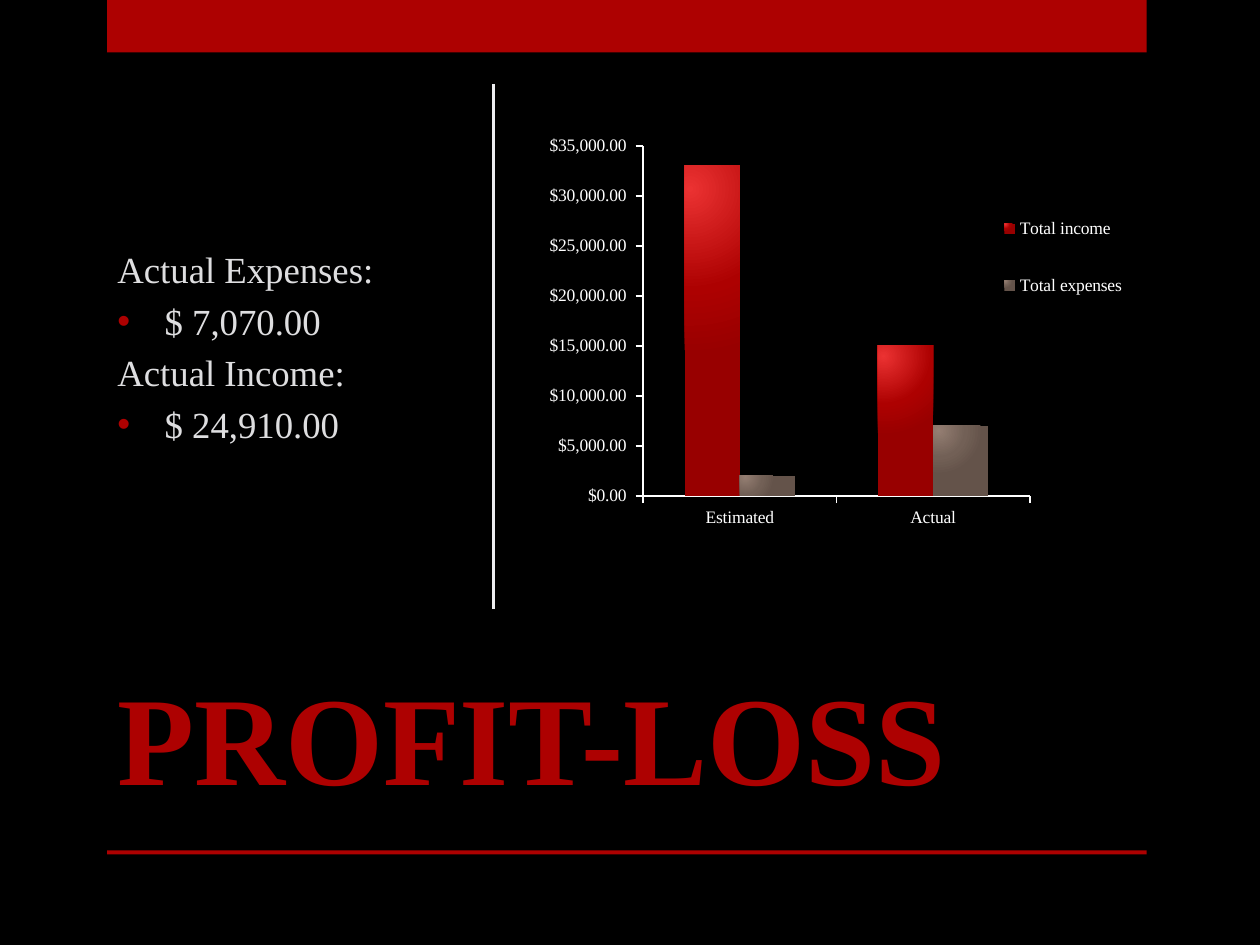
from lxml import etree
from pptx import Presentation
from pptx.chart.data import CategoryChartData
from pptx.dml.color import RGBColor
from pptx.enum import chart as charts, shapes, text
from pptx.oxml import parse_xml
from pptx.oxml.ns import nsdecls, qn
from pptx.util import Pt

BLACK = RGBColor(0x00, 0x00, 0x00)
WHITE = RGBColor(0xFF, 0xFF, 0xFF)
RED = RGBColor(0xAD, 0x01, 0x01)
PALE = RGBColor(0xDE, 0xDE, 0xE0)
DIVIDER = RGBColor(0xEE, 0xEE, 0xF0)
RED_LIGHT = RGBColor(0xEB, 0x32, 0x32)
RED_DARK = RGBColor(0x98, 0x00, 0x00)
TAUPE = RGBColor(0x72, 0x60, 0x56)
TAUPE_LIGHT = RGBColor(0x94, 0x7E, 0x72)
TAUPE_DARK = RGBColor(0x64, 0x53, 0x4A)
FONT = "Times New Roman"


def set_font(font, size, color, bold=False):
    font.name, font.size, font.bold = FONT, Pt(size), bold
    font.color.rgb = color


def add_bar(slide, left, top, width, height):
    bar = slide.shapes.add_shape(shapes.MSO_SHAPE.RECTANGLE,
                                 Pt(left), Pt(top), Pt(width), Pt(height))
    bar.shadow.inherit = False
    bar.fill.solid()
    bar.fill.fore_color.rgb = RED
    bar.line.fill.background()


def add_divider(slide, x, top, bottom):
    line = slide.shapes.add_connector(shapes.MSO_CONNECTOR.STRAIGHT,
                                      Pt(x), Pt(top), Pt(x), Pt(bottom))
    line.line.color.rgb = DIVIDER
    line.line.width = Pt(1.25)
    etree.SubElement(line._element.spPr, qn("a:effectLst"))


def add_text_frame(slide, left, top, width, height):
    frame = slide.shapes.add_textbox(Pt(left), Pt(top), Pt(width), Pt(height)).text_frame
    frame.word_wrap = True
    return frame


def add_bullet(paragraph, indent):
    properties = paragraph._p.get_or_add_pPr()
    properties.set("marL", str(Pt(indent)))
    properties.set("indent", str(-Pt(indent)))
    color = etree.SubElement(properties, qn("a:buClr"))
    etree.SubElement(color, qn("a:srgbClr"), val=str(RED))
    etree.SubElement(properties, qn("a:buFont"), typeface="Arial")
    etree.SubElement(properties, qn("a:buChar"), char="•")


def add_totals(slide, left, top, width, height, totals):
    """Lists each label with its amount as a bullet below it."""
    frame = add_text_frame(slide, left, top, width, height)
    frame.vertical_anchor = text.MSO_ANCHOR.MIDDLE
    lines = [line for total in totals for line in total]
    frame.text = "\n".join(lines)
    for index, paragraph in enumerate(frame.paragraphs):
        paragraph.space_before = Pt(4.2)
        if index % 2:
            add_bullet(paragraph, 27)
        set_font(paragraph.font, 21, PALE)


def add_title(slide, left, top, width, height, title):
    frame = add_text_frame(slide, left, top, width, height)
    frame.text = title
    set_font(frame.paragraphs[0].font, 72, RED, bold=True)


def fill_radial(series, colors):
    """Fills the columns with a glow from their upper left corner."""
    stops = "".join(f'<a:gs pos="{position}"><a:srgbClr val="{color}"/></a:gs>'
                    for position, color in zip((0, 60000, 100000), colors))
    gradient = parse_xml(
        f'<a:gradFill {nsdecls("a")} rotWithShape="1"><a:gsLst>{stops}</a:gsLst>'
        '<a:path path="circle"><a:fillToRect l="10000" t="7000" r="90000" b="93000"/>'
        '</a:path></a:gradFill>')
    series.format.line.fill.background()
    series._element.spPr.insert(0, gradient)


def set_layout(parent, chart_size, left, top, width, height, inner=False):
    """Places a plot area or legend by lengths inside the chart."""
    for old in parent.findall(qn("c:layout")):
        parent.remove(old)
    chart_width, chart_height = chart_size
    target = '<c:layoutTarget val="inner"/>' if inner else ""
    layout = parse_xml(
        f'<c:layout {nsdecls("c")}><c:manualLayout>{target}'
        '<c:xMode val="edge"/><c:yMode val="edge"/>'
        f'<c:x val="{left / chart_width}"/><c:y val="{top / chart_height}"/>'
        f'<c:w val="{width / chart_width}"/><c:h val="{height / chart_height}"/>'
        '</c:manualLayout></c:layout>')
    position = parent.find(qn("c:legendPos"))
    if position is None:
        parent.insert(0, layout)
    else:
        position.addnext(layout)


def style_axis(axis):
    axis.has_major_gridlines = False
    axis.major_tick_mark = charts.XL_TICK_MARK.OUTSIDE
    axis.minor_tick_mark = charts.XL_TICK_MARK.NONE
    axis.format.line.color.rgb = WHITE
    axis.format.line.width = Pt(1)
    set_font(axis.tick_labels.font, 10, WHITE)


def add_profit_chart(slide, left, top, width, height):
    data = CategoryChartData()
    data.categories = ["Estimated", "Actual"]
    data.add_series("Total income", (33000, 15000))
    data.add_series("Total expenses", (2000, 7000))
    chart = slide.shapes.add_chart(charts.XL_CHART_TYPE.COLUMN_CLUSTERED, Pt(left), Pt(top),
                                   Pt(width), Pt(height), data).chart
    set_font(chart.font, 10, WHITE)
    chart.has_title = False
    chart.has_legend = True
    chart.legend.position = charts.XL_LEGEND_POSITION.RIGHT
    chart.legend.include_in_layout = False
    set_font(chart.legend.font, 10, WHITE)
    set_layout(chart.legend._element, (width, height), 274, 56, 79, 86)

    plot = chart.plots[0]
    plot.gap_width, plot.overlap = 150, 0
    plot.vary_by_categories = False
    palettes = (RED_LIGHT, RED, RED_DARK), (TAUPE_LIGHT, TAUPE, TAUPE_DARK)
    for series, colors in zip(plot.series, palettes):
        fill_radial(series, colors)
    set_layout(chart._chartSpace.chart.plotArea, (width, height),
               73.5, 35.4, 221, 200, inner=True)

    for axis in (chart.category_axis, chart.value_axis):
        style_axis(axis)
    values = chart.value_axis
    values.minimum_scale, values.maximum_scale, values.major_unit = 0, 35000, 5000
    values.tick_labels.number_format = r'"$"#,##0.00_);[Red]\("$"#,##0.00\)'
    values.tick_labels.number_format_is_linked = False


def build_profit_loss_slide(presentation):
    slide = presentation.slides.add_slide(presentation.slide_layouts[6])
    slide.background.fill.solid()
    slide.background.fill.fore_color.rgb = BLACK
    add_bar(slide, 61.2, 0, 594, 30)
    add_bar(slide, 61.2, 486, 594, 2.2)
    add_divider(slide, 282, 48, 348)
    add_totals(slide, 60, 36, 210, 324, [("Actual Expenses:", "$ 7,070.00"),
                                         ("Actual Income:", "$ 24,910.00")])
    add_profit_chart(slide, 294, 48, 360, 300)
    add_title(slide, 60, 373.5, 540, 94, "PROFIT-LOSS")


def main():
    presentation = Presentation()
    presentation.slide_width, presentation.slide_height = Pt(720), Pt(540)
    build_profit_loss_slide(presentation)
    presentation.save("out.pptx")


if __name__ == "__main__":
    main()
